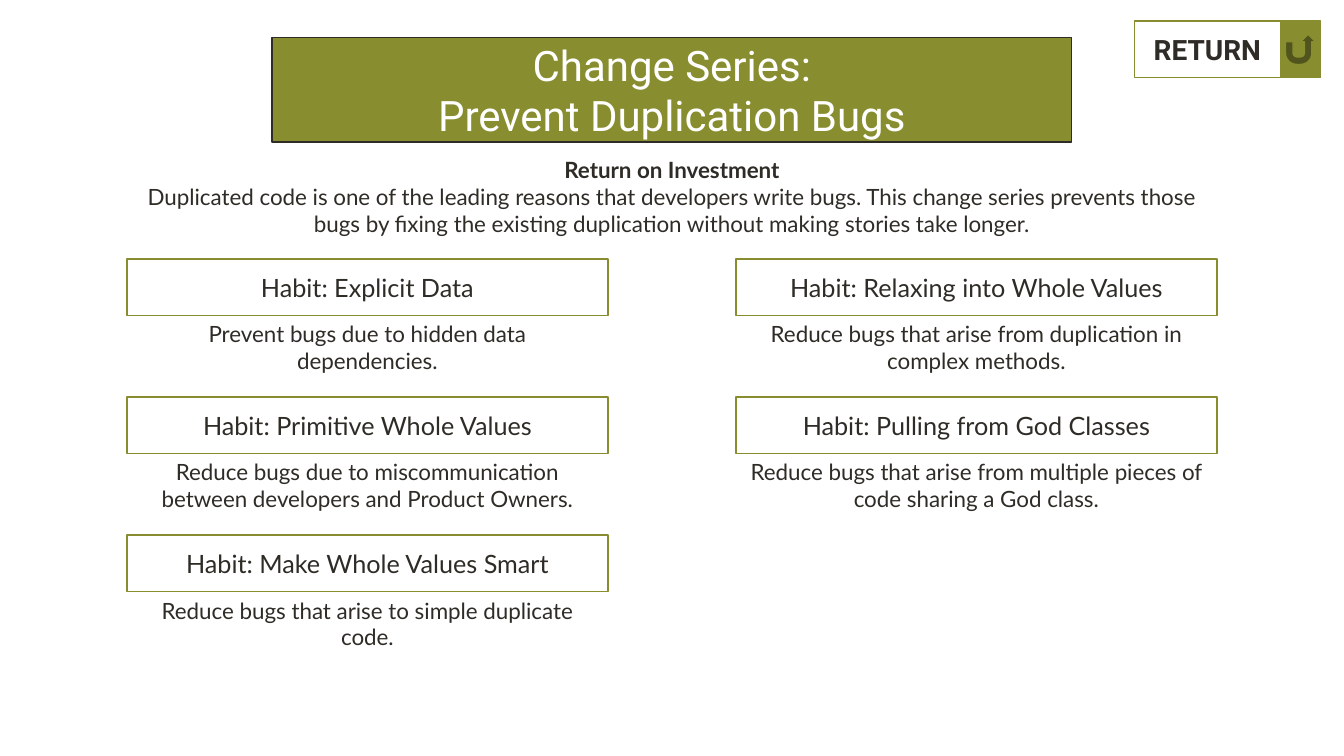
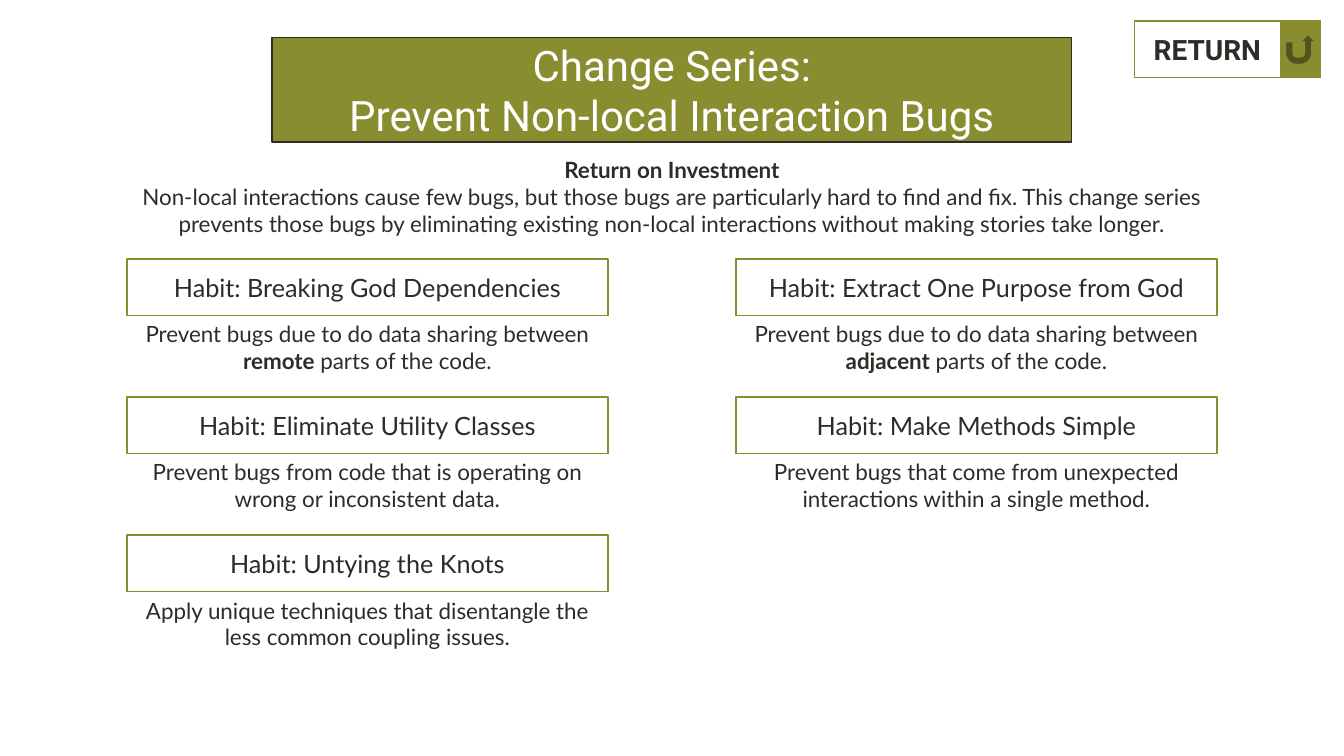
from dataclasses import dataclass
from typing import NamedTuple

from pptx import Presentation
from pptx.dml.color import RGBColor
from pptx.enum.shapes import MSO_SHAPE as Preset
from pptx.enum.text import MSO_ANCHOR as Anchor
from pptx.enum.text import MSO_AUTO_SIZE as AutoSize
from pptx.enum.text import PP_ALIGN as Align
from pptx.presentation import Presentation as Deck
from pptx.shapes.autoshape import Shape
from pptx.shapes.shapetree import _BaseGroupShapes as ShapeTree
from pptx.util import Inches, Pt


@dataclass(frozen=True)
class Theme:
    olive: RGBColor = RGBColor(0x88, 0x8D, 0x30)
    ink: RGBColor = RGBColor(0x2F, 0x2C, 0x27)
    white: RGBColor = RGBColor(0xFF, 0xFF, 0xFF)
    heading_font: str = "Roboto"
    body_font: str = "Lato"
    title_size: int = 30
    return_size: int = 20
    habit_size: int = 18
    body_size: int = 16
    line_width: int = 1


THEME = Theme()


class Area(NamedTuple):
    left: float
    top: float
    width: float
    height: float


class Style(NamedTuple):
    font: str
    size: int
    color: RGBColor


class Span(NamedTuple):
    text: str
    bold: bool = False


Lines = list[list[Span]]


@dataclass(frozen=True)
class Habit:
    name: str
    benefit: list[Span]


@dataclass(frozen=True)
class Series:
    title: str
    investment: str
    habits: list[Habit]


TITLE_STYLE = Style(THEME.heading_font, THEME.title_size, THEME.white)
RETURN_STYLE = Style(THEME.heading_font, THEME.return_size, THEME.ink)
HABIT_STYLE = Style(THEME.body_font, THEME.habit_size, THEME.ink)
BODY_STYLE = Style(THEME.body_font, THEME.body_size, THEME.ink)

TITLE_AREA = Area(2.7, 0.37, 7.93, 1.04)
INVESTMENT_AREA = Area(1.27, 1.5, 10.79, 0.91)
RETURN_AREA = Area(11.25, 0.21, 1.45, 0.56)
ICON_AREA = Area(12.7, 0.21, 0.4, 0.56)

GRID_LEFT, GRID_TOP = 1.26, 2.57
COLUMN_STEP, ROW_STEP = 6.04, 1.37
ROWS_PER_COLUMN = 3
HABIT_WIDTH, HABIT_HEIGHT, BENEFIT_HEIGHT = 4.77, 0.56, 0.64

ALL_SERIES = [
    Series(
        "Prevent Duplication Bugs",
        "Duplicated code is one of the leading reasons that developers write bugs. "
        "This change series prevents those bugs by fixing the existing duplication "
        "without making stories take longer.",
        [
            Habit("Explicit Data", [Span("Prevent bugs due to hidden data dependencies.")]),
            Habit("Primitive Whole Values", [Span(
                "Reduce bugs due to miscommunication between developers and Product Owners.")]),
            Habit("Make Whole Values Smart", [Span(
                "Reduce bugs that arise to simple duplicate code.")]),
            Habit("Relaxing into Whole Values", [Span(
                "Reduce bugs that arise from duplication in complex methods.")]),
            Habit("Pulling from God Classes", [Span(
                "Reduce bugs that arise from multiple pieces of code sharing a God class.")]),
        ],
    ),
    Series(
        "Prevent Non-local Interaction Bugs",
        "Non-local interactions cause few bugs, but those bugs are particularly hard "
        "to find and fix. This change series prevents those bugs by eliminating "
        "existing non-local interactions without making stories take longer.",
        [
            Habit("Breaking God Dependencies", [
                Span("Prevent bugs due to do data sharing between "),
                Span("remote", bold=True),
                Span(" parts of the code."),
            ]),
            Habit("Eliminate Utility Classes", [Span(
                "Prevent bugs from code that is operating on wrong or inconsistent data.")]),
            Habit("Untying the Knots", [Span(
                "Apply unique techniques that disentangle the less common coupling issues.")]),
            Habit("Extract One Purpose from God", [
                Span("Prevent bugs due to do data sharing between "),
                Span("adjacent", bold=True),
                Span(" parts of the code."),
            ]),
            Habit("Make Methods Simple", [Span(
                "Prevent bugs that come from unexpected interactions within a single method.")]),
        ],
    ),
]


def write(box: Shape, lines: Lines, style: Style) -> None:
    frame = box.text_frame
    frame.word_wrap = True
    for index, line in enumerate(lines):
        para = frame.add_paragraph() if index else frame.paragraphs[0]
        para.alignment = Align.CENTER
        for span in line:
            run = para.add_run()
            run.text = span.text
            run.font.name = style.font
            run.font.size = Pt(style.size)
            run.font.bold = span.bold
            run.font.color.rgb = style.color


def add_box(shapes: ShapeTree, area: Area, line: RGBColor,
            fill: RGBColor | None = None, preset: Preset = Preset.RECTANGLE) -> Shape:
    box = shapes.add_shape(preset, *map(Inches, area))
    box.shadow.inherit = False
    if fill is None:
        box.fill.background()
    else:
        box.fill.solid()
        box.fill.fore_color.rgb = fill
    box.line.color.rgb = line
    box.line.width = Pt(THEME.line_width)
    box.text_frame.vertical_anchor = Anchor.MIDDLE
    return box


def add_text(shapes: ShapeTree, area: Area, lines: Lines) -> None:
    box = shapes.add_textbox(*map(Inches, area))
    write(box, lines, BODY_STYLE)
    box.text_frame.auto_size = AutoSize.SHAPE_TO_FIT_TEXT


def add_return_button(shapes: ShapeTree) -> None:
    label = add_box(shapes, RETURN_AREA, THEME.olive)
    write(label, [[Span("RETURN", bold=True)]], RETURN_STYLE)
    add_box(shapes, ICON_AREA, THEME.olive, THEME.olive, Preset.ACTION_BUTTON_RETURN)


def add_habit(shapes: ShapeTree, position: int, habit: Habit) -> None:
    column, row = divmod(position, ROWS_PER_COLUMN)
    left = GRID_LEFT + column * COLUMN_STEP
    top = GRID_TOP + row * ROW_STEP
    group = shapes.add_group_shape()
    header = add_box(group.shapes, Area(left, top, HABIT_WIDTH, HABIT_HEIGHT), THEME.olive)
    write(header, [[Span(f"Habit: {habit.name}")]], HABIT_STYLE)
    add_text(group.shapes,
             Area(left, top + HABIT_HEIGHT, HABIT_WIDTH, BENEFIT_HEIGHT),
             [habit.benefit])


def add_series(deck: Deck, series: Series) -> None:
    page = deck.slides.add_slide(deck.slide_layouts[6])
    title = add_box(page.shapes, TITLE_AREA, THEME.ink, THEME.olive)
    write(title, [[Span("Change Series:")], [Span(series.title)]], TITLE_STYLE)
    add_return_button(page.shapes)
    add_text(page.shapes, INVESTMENT_AREA,
             [[Span("Return on Investment", bold=True)], [Span(series.investment)]])
    for position, habit in enumerate(series.habits):
        add_habit(page.shapes, position, habit)


def main() -> None:
    deck = Presentation()
    deck.slide_width = Inches(13.33)
    deck.slide_height = Inches(7.5)
    for series in ALL_SERIES:
        add_series(deck, series)
    deck.save("out.pptx")


if __name__ == "__main__":
    main()
